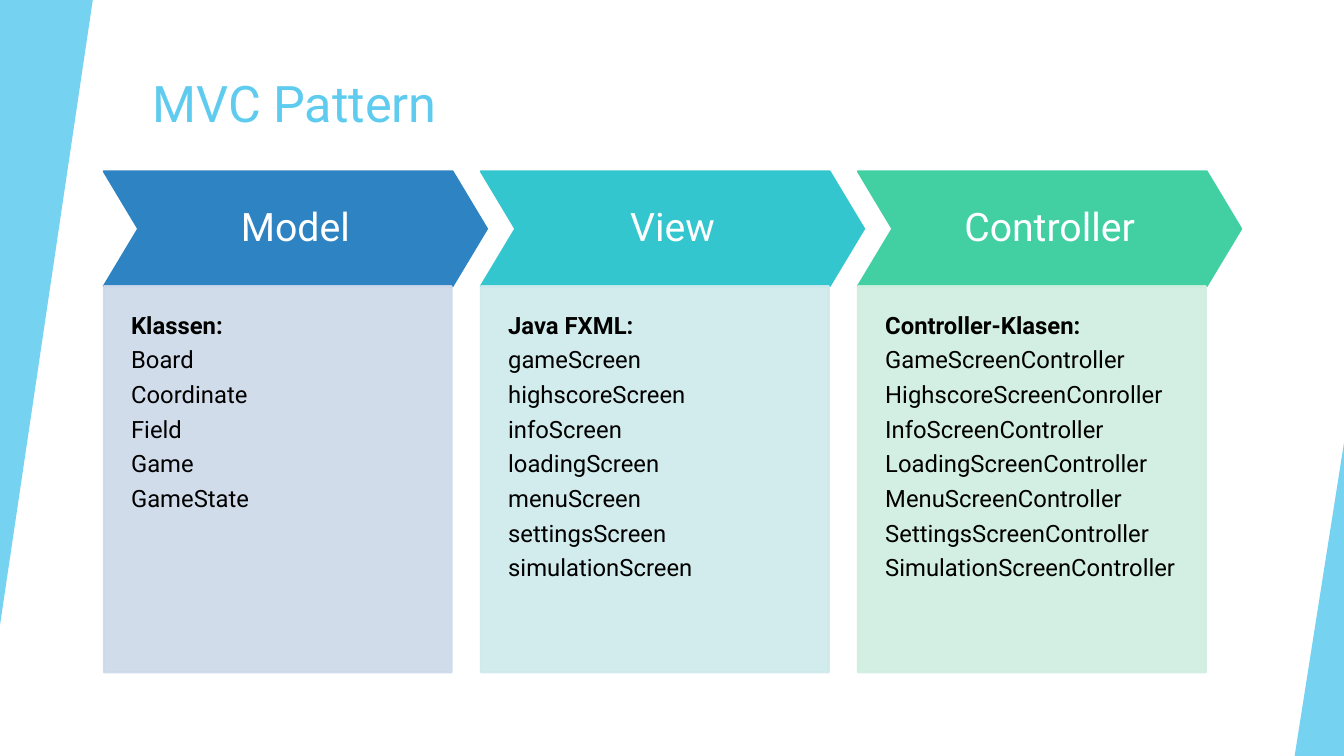
import pptx
import pptx.util
import pptx.dml.color
import pptx.enum.shapes
import pptx.enum.text
import pptx.oxml

Inch, Pt = pptx.util.Inches, pptx.util.Pt
Kind = pptx.enum.shapes.MSO_SHAPE
Align = pptx.enum.text.PP_ALIGN
Hook = pptx.enum.text.MSO_ANCHOR

theme = {
    "font": "Roboto", "sky": "5FCBEF", "light": "FFFFFF", "dark": "000000",
    "title": Pt(36), "head": Pt(28), "body": Pt(17),
}
parts = [
    ("Model", "2E83C3", "CDD9E9",
     ["Klassen:", "Board", "Coordinate", "Field", "Game", "GameState"]),
    ("View", "34C6CE", "CEE9EC",
     ["Java FXML:", "gameScreen", "highscoreScreen", "infoScreen",
      "loadingScreen", "menuScreen", "settingsScreen", "simulationScreen"]),
    ("Controller", "42D0A2", "CFEEE0",
     ["Controller-Klasen:", "GameScreenController", "HighscoreScreenConroller",
      "InfoScreenController", "LoadingScreenController", "MenuScreenController",
      "SettingsScreenController", "SimulationScreenController"]),
]

deck = pptx.Presentation()
deck.slide_width, deck.slide_height = Inch(13.33), Inch(7.5)
slide = deck.slides.add_slide(deck.slide_layouts[5])


def draw(kind, box, tone, alpha=100, edge=True):
    shape = slide.shapes.add_shape(kind, *map(Inch, box))
    shape.shadow.inherit = False
    fills = [shape.fill]
    if edge:
        shape.line.width = Pt(1.5)
        fills.append(shape.line.fill)
    else:
        shape.line.fill.background()
    for fill in fills:
        fill.solid()
        fill.fore_color.rgb = pptx.dml.color.RGBColor.from_string(tone)
    if alpha < 100:
        for node in shape.element.spPr.xpath(".//a:srgbClr"):
            pptx.oxml.xmlchemy.OxmlElement
            mark = pptx.oxml.parse_xml(
                '<a:alpha xmlns:a="http://schemas.openxmlformats.org/drawingml/2006/main"'
                f' val="{alpha * 1000}"/>')
            node.append(mark)
    return shape


def write(shape, lines, size, tone, form, align, gap=0, lead=1.0):
    frame = shape.text_frame
    for key, val in form.items():
        setattr(frame, key, val)
    frame.text = "\n".join(lines)
    for para in frame.paragraphs:
        look = {"alignment": align, "line_spacing": lead, "space_after": Pt(gap)}
        for key, val in look.items():
            setattr(para, key, val)
        font = para.runs[0].font
        for key, val in {"name": theme["font"], "size": theme[size], "bold": False}.items():
            setattr(font, key, val)
        font.color.rgb = pptx.dml.color.RGBColor.from_string(theme[tone])


title = slide.shapes.title
for key, val in zip(("left", "top", "width", "height"), (1.41, 0.67, 11.15, 1.2)):
    setattr(title, key, Inch(val))
write(title, ["MVC Pattern"], "title", "sky",
      {"vertical_anchor": Hook.TOP, "word_wrap": True}, Align.LEFT)

for box, turn in (((0, 0, 0.92, 6.2), 180), ((12.84, 4.39, 0.49, 3.11), 0)):
    wedge = draw(Kind.ISOSCELES_TRIANGLE, box, theme["sky"], 85, False)
    wedge.adjustments[0] = 1
    wedge.rotation = turn

left, top, step = 1.03, 1.7, 3.74
wide, high, deep, tip = 3.45, 1.14, 3.83, 0.35
pad = Inch(0.27)
panel = {"word_wrap": True, "vertical_anchor": Hook.TOP, "margin_left": pad,
         "margin_top": pad, "margin_right": pad, "margin_bottom": 2 * pad}
banner = {"word_wrap": True, "vertical_anchor": Hook.MIDDLE}

for col, (name, tone, pale, lines) in enumerate(parts):
    x = left + col * step
    arrow = draw(Kind.CHEVRON, (x, top, wide + tip, high), tone)
    arrow.adjustments[0] = 0.3
    write(arrow, [name], "head", "light", banner, Align.CENTER, lead=0.9)
    card = draw(Kind.RECTANGLE, (x, top + high, wide, deep), pale, 90)
    write(card, lines, "body", "dark", panel, Align.LEFT, 6.4, 0.9)
    card.text_frame.paragraphs[0].runs[0].font.bold = True

deck.save("out.pptx")
